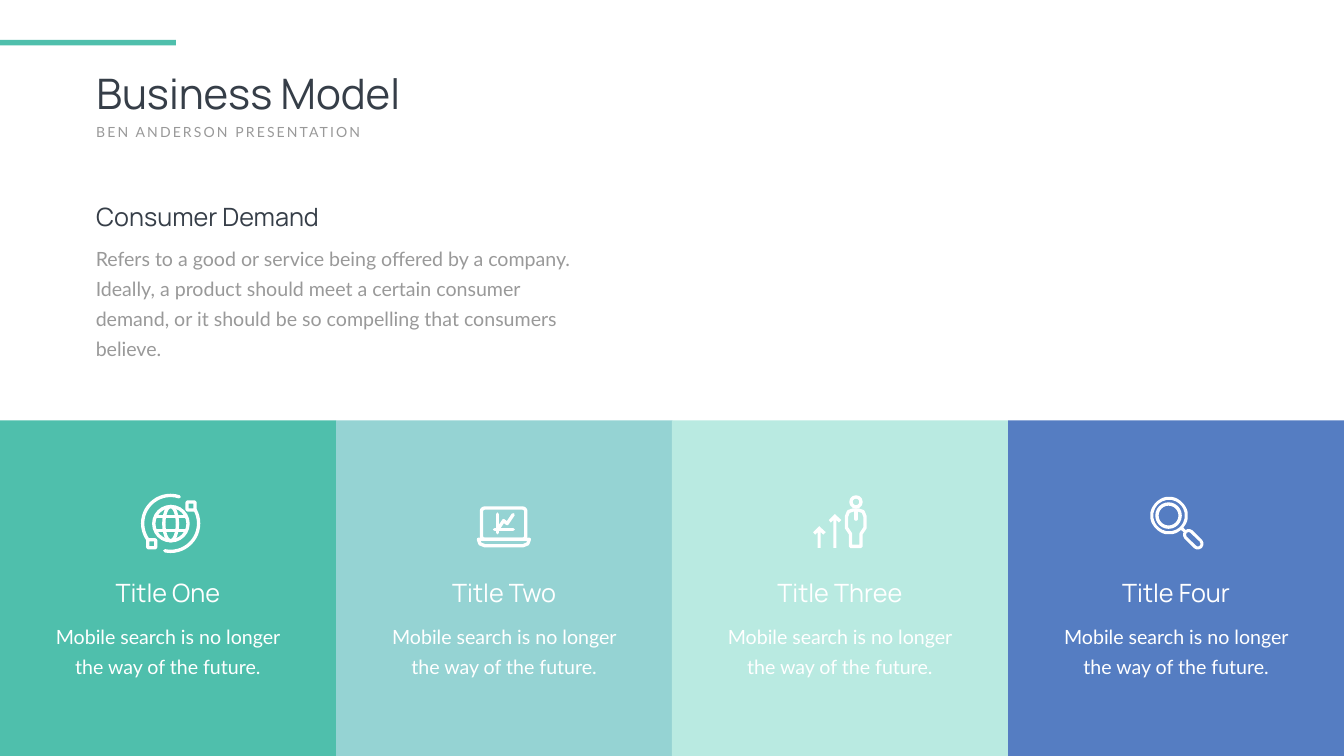
from math import cos, radians, sin

from lxml import etree
from pptx import Presentation
from pptx.dml.color import RGBColor
from pptx.enum.shapes import MSO_CONNECTOR, MSO_SHAPE
from pptx.enum.text import MSO_ANCHOR, MSO_AUTO_SIZE, PP_ALIGN
from pptx.oxml.ns import qn
from pptx.util import Pt

PX = 9144  # 100 px to the inch
W, H = 2666, 1500
RECT, OVAL, ROUND, ARC = (MSO_SHAPE.RECTANGLE, MSO_SHAPE.OVAL,
                          MSO_SHAPE.ROUNDED_RECTANGLE, MSO_SHAPE.ARC)
STRAIGHT = MSO_CONNECTOR.STRAIGHT
LEFT, CENTER = PP_ALIGN.LEFT, PP_ALIGN.CENTER
TOP, GROW = MSO_ANCHOR.TOP, MSO_AUTO_SIZE.SHAPE_TO_FIT_TEXT

THEME = {
    "dark": RGBColor.from_string("363E48"),
    "grey": RGBColor.from_string("999999"),
    "white": RGBColor.from_string("FFFFFF"),
    "panels": [RGBColor.from_string(c) for c in ("4FBFAC", "95D3D3", "B9EAE1", "557DC2")],
    "heading": "Manrope", "body": "Lato",
    "title": 60, "subtitle": 20, "head": 36, "text": 28,
    "leading": 43, "stroke": 4.75,
}

prs = Presentation()
prs.slide_width, prs.slide_height = W * PX, H * PX
s = prs.slides.add_slide(prs.slide_layouts[5])


def write(sp, box, text, font, size, color, align=LEFT, inset=(10, 5), leading=None):
    """Place a text shape and fill it with one formatted run."""
    sp.left, sp.top, sp.width, sp.height = [v * PX for v in box]
    tf = sp.text_frame
    tf.word_wrap, tf.auto_size, tf.vertical_anchor = True, GROW, TOP
    tf.margin_left = tf.margin_right = inset[0] * PX
    tf.margin_top = tf.margin_bottom = inset[1] * PX
    p = tf.paragraphs[0]
    p.alignment = align
    if leading:
        p.line_spacing = Pt(leading)
    r = p.add_run()
    r.text = text
    r.font.name, r.font.size, r.font.bold = font, Pt(size), False
    r.font.color.rgb = color
    return r


def outline(sp):
    """Give an icon part a white round-capped line and no shadow."""
    sp.line.color.rgb = THEME["white"]
    sp.line.width = Pt(THEME["stroke"])
    spPr = sp._element.spPr
    spPr.find(qn("a:ln")).set("cap", "rnd")
    etree.SubElement(spPr, qn("a:effectLst"))


# Heading
write(s.shapes.title, (181, 128, 971, 111), "Business Model",
      THEME["heading"], THEME["title"], THEME["dark"])
r = write(s.shapes.add_textbox(0, 0, 0, 0), (181, 240, 585, 44), "BEN ANDERSON PRESENTATION",
          THEME["body"], THEME["subtitle"], THEME["grey"])
r._r.get_or_add_rPr().set("spc", "300")

# Accent bar and four panels
edges = [(i * W + 2) // 4 for i in range(4)]
blocks = [((0, 79, 349, 11), THEME["panels"][0])]
blocks += [((x, 834, 667, 666), c) for x, c in zip(edges, THEME["panels"])]
for box, color in blocks:
    sp = s.shapes.add_shape(RECT, *[v * PX for v in box])
    sp.shadow.inherit = False
    sp.fill.solid()
    sp.fill.fore_color.rgb = color
    sp.line.fill.background()

# Panel texts
for x, name in zip(edges, ("One", "Two", "Three", "Four")):
    write(s.shapes.add_textbox(0, 0, 0, 0), (x + 76, 1215, 514, 138),
          "Mobile search is no longer the way of the future.",
          THEME["body"], THEME["text"], THEME["white"], CENTER, (24, 12), THEME["leading"])
    write(s.shapes.add_textbox(0, 0, 0, 0), (x + 76, 1140, 514, 71), f"Title {name}",
          THEME["heading"], THEME["head"], THEME["white"], CENTER)

# Icon parts made of presets: kind, box, adjustments
icon_shapes = [
    # globe with two orbits
    (OVAL, (305, 1005, 68, 68), ()),
    (OVAL, (325, 1005, 27, 68), ()),
    (ARC, (283, 983, 111, 111), (145, 288)),
    (ARC, (283, 983, 111, 111), (331, 102)),
    (ROUND, (371, 996, 16, 16), (0.15,)),
    (ROUND, (293, 1071, 16, 16), (0.15,)),
    # laptop screen
    (ROUND, (955, 1008, 88, 62), (0.1,)),
    # person's head
    (OVAL, (1688, 986, 20, 20), ()),
    # magnifier inner ring
    (OVAL, (2295, 1000, 46, 46), ()),
]
for kind, box, adjust in icon_shapes:
    sp = s.shapes.add_shape(kind, *[v * PX for v in box])
    for i, value in enumerate(adjust):
        sp.adjustments[i] = value * 0.6 if kind == ARC else value  # degrees for arcs
    sp.fill.background()
    outline(sp)

# Icon parts made of straight lines
icon_lines = [
    (309, 1025, 368, 1025), (309, 1053, 368, 1053),  # globe parallels
    (987, 1020, 987, 1057), (981, 1051, 1018, 1051),  # chart axes
    (1698, 1015, 1698, 1030),                         # tie
]
for ends in icon_lines:
    outline(s.shapes.add_connector(STRAIGHT, *[v * PX for v in ends]))

# Icon parts made of stroked outlines: closed or not, points
icon_paths = [
    # laptop base and chart line
    (True, [(949, 1070), (1050, 1070), (1047, 1079), (1037, 1083), (962, 1083), (952, 1079)]),
    (False, [(987, 1051), (999, 1033), (1006, 1039), (1018, 1021)]),
    # person's body
    (True, [(1692, 1012), (1703, 1012), (1712, 1015), (1716, 1025), (1716, 1047), (1708, 1059),
            (1708, 1084), (1687, 1084), (1687, 1059), (1679, 1047), (1679, 1025), (1683, 1015)]),
]
for closed, points in icon_paths:
    builder = s.shapes.build_freeform(*points[0], scale=PX)
    builder.add_line_segments(points[1:], close=closed)
    sp = builder.convert_to_shape()
    sp.fill.background()
    outline(sp)

# Solid icon parts, each a list of contours: two arrows, then the magnifier
solids = []
for x, y in ((1656, 1020), (1625, 1044)):
    solids.append([[(x - 12, y + 12), (x - 8, y + 17), (x - 3, y + 12), (x - 3, 1087),
                    (x + 3, 1087), (x + 3, y + 12), (x + 8, y + 17), (x + 13, y + 12), (x, y)]])
magnifier = [[(2342, 1051), (2347, 1047), (2352, 1052), (2348, 1056)]]
# Lens and handle edges: centre, radius, diagonal stretch
for cx, cy, radius, stretch in ((2319, 1023, 37, 0), (2319, 1023, 31, 0),
                                (2367, 1070, 11, 9), (2367, 1070, 5, 9)):
    ring = []
    for degree in range(-45, 315, 6):
        shift = stretch if degree < 135 else -stretch
        ring.append((cx + shift + radius * cos(radians(degree)),
                     cy + shift + radius * sin(radians(degree))))
    magnifier.append(ring)
solids.append(magnifier)
for contours in solids:
    builder = s.shapes.build_freeform(*contours[0][0], scale=PX)
    for points in contours:
        builder.move_to(*points[0])
        builder.add_line_segments(points[1:], close=True)
    sp = builder.convert_to_shape()
    sp.shadow.inherit = False
    sp.fill.solid()
    sp.fill.fore_color.rgb = THEME["white"]
    sp.line.fill.background()

# Consumer demand
write(s.shapes.add_textbox(0, 0, 0, 0), (166, 465, 1044, 198),
      "Refers to a good or service being offered by a company. Ideally, a product should meet "
      "a certain consumer demand, or it should be so compelling that consumers believe.",
      THEME["body"], THEME["text"], THEME["grey"], LEFT, (24, 12), THEME["leading"])
write(s.shapes.add_textbox(0, 0, 0, 0), (181, 394, 609, 71), "Consumer Demand",
      THEME["heading"], THEME["head"], THEME["dark"])

prs.save("out.pptx")
